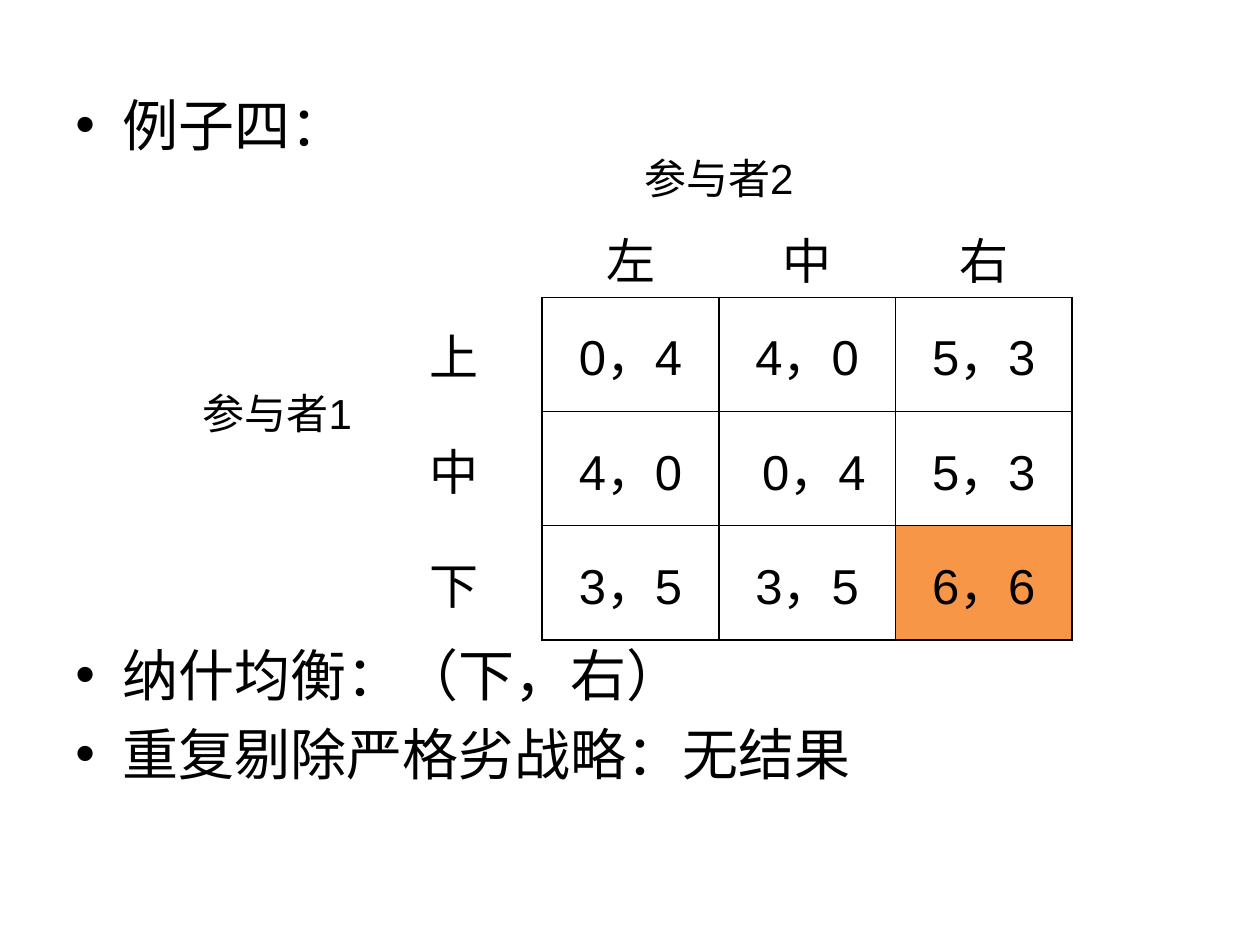
"""Build a slide on a three by three game and its Nash equilibrium."""
from lxml import etree
from pptx import Presentation, util as u
from pptx.dml import color
from pptx.enum import text
from pptx.oxml import ns

BLACK, ORANGE = "000000", "F79646"
POINTS = [("例子四：", 0), ("纳什均衡：（下，右）", 276), ("重复剔除严格劣战略：无结果", 6.4)]
GAME = [
    ["", "", "参与者2", "", ""],
    ["", "", "左", "中", "右"],
    ["参与者1", "上", "0，4", "4，0", "5，3"],
    ["", "中", "4，0", " 0，4", "5，3"],
    ["", "下", "3，5", "3，5", "6，6"],
]
MERGES = [((0, 2), (0, 3)), ((2, 0), (3, 0))]
EQUILIBRIUM = (4, 4)
FIRST_PAYOFF = 2
COLUMN_WIDTH, LABEL_HEIGHT, PAYOFF_HEIGHT = 3.56, 1.63, 2.3
SIDES = {"L": (0, -1), "R": (0, 1), "T": (-1, 0), "B": (1, 0)}


def rgb(value):
    return color.RGBColor.from_string(value)


def write(para, words, size, font, align=None, before=0, bullet=None):
    if bullet:
        props = para._p.get_or_add_pPr()
        props.set("marL", str(u.Cm(0.95)))
        props.set("indent", str(u.Cm(-0.95)))
        etree.SubElement(props, ns.qn("a:buFont"), typeface="Arial")
        etree.SubElement(props, ns.qn("a:buChar"), char=bullet)
    para.alignment = align
    para.space_before = u.Pt(before)
    span = para.add_run()
    span.text = words
    span.font.size = u.Pt(size)
    span.font.name = font
    span.font.color.rgb = rgb(BLACK)


def is_payoff(row, column):
    return all(FIRST_PAYOFF <= place < len(GAME) for place in (row, column))


def draw_borders(cell, row, column):
    props = cell._tc.get_or_add_tcPr()
    for side, (down, across) in SIDES.items():
        line = etree.SubElement(props, ns.qn(f"a:ln{side}"), w=str(u.Pt(1)))
        if is_payoff(row, column) or is_payoff(row + down, column + across):
            fill = etree.SubElement(line, ns.qn("a:solidFill"))
            etree.SubElement(fill, ns.qn("a:srgbClr"), val=BLACK)
        else:
            etree.SubElement(line, ns.qn("a:noFill"))


def add_points(page):
    box = page.shapes.add_textbox(u.Cm(1.27), u.Cm(1.7), u.Cm(22.86), u.Cm(16.71))
    frame = box.text_frame
    frame.word_wrap = True
    for index, (words, before) in enumerate(POINTS):
        para = frame.add_paragraph() if index else frame.paragraphs[0]
        write(para, words, 32, "Calibri", before=before, bullet="•")


def add_game(page):
    size = len(GAME)
    height = FIRST_PAYOFF * LABEL_HEIGHT + (size - FIRST_PAYOFF) * PAYOFF_HEIGHT
    table = page.shapes.add_table(
        size, size, u.Cm(3.81), u.Cm(2.74), u.Cm(size * COLUMN_WIDTH), u.Cm(height)
    ).table
    table.first_row = table.horz_banding = False
    for index in range(size):
        table.columns[index].width = u.Cm(COLUMN_WIDTH)
        table.rows[index].height = u.Cm(LABEL_HEIGHT if index < FIRST_PAYOFF else PAYOFF_HEIGHT)
    for start, end in MERGES:
        table.cell(*start).merge(table.cell(*end))
    for row, entries in enumerate(GAME):
        for column, words in enumerate(entries):
            cell = table.cell(row, column)
            draw_borders(cell, row, column)
            cell.vertical_anchor = text.MSO_ANCHOR.MIDDLE
            if (row, column) == EQUILIBRIUM:
                cell.fill.solid()
                cell.fill.fore_color.rgb = rgb(ORANGE)
            else:
                cell.fill.background()
            if words:
                points = 24 if words.startswith("参与者") else 28
                write(cell.text_frame.paragraphs[0], words, points, "Arial",
                      align=text.PP_ALIGN.CENTER)


def main():
    deck = Presentation()
    deck.slide_width, deck.slide_height = u.Cm(25.4), u.Cm(19.05)
    page = deck.slides.add_slide(deck.slide_layouts[6])
    add_points(page)
    add_game(page)
    deck.save("out.pptx")


if __name__ == "__main__":
    main()
